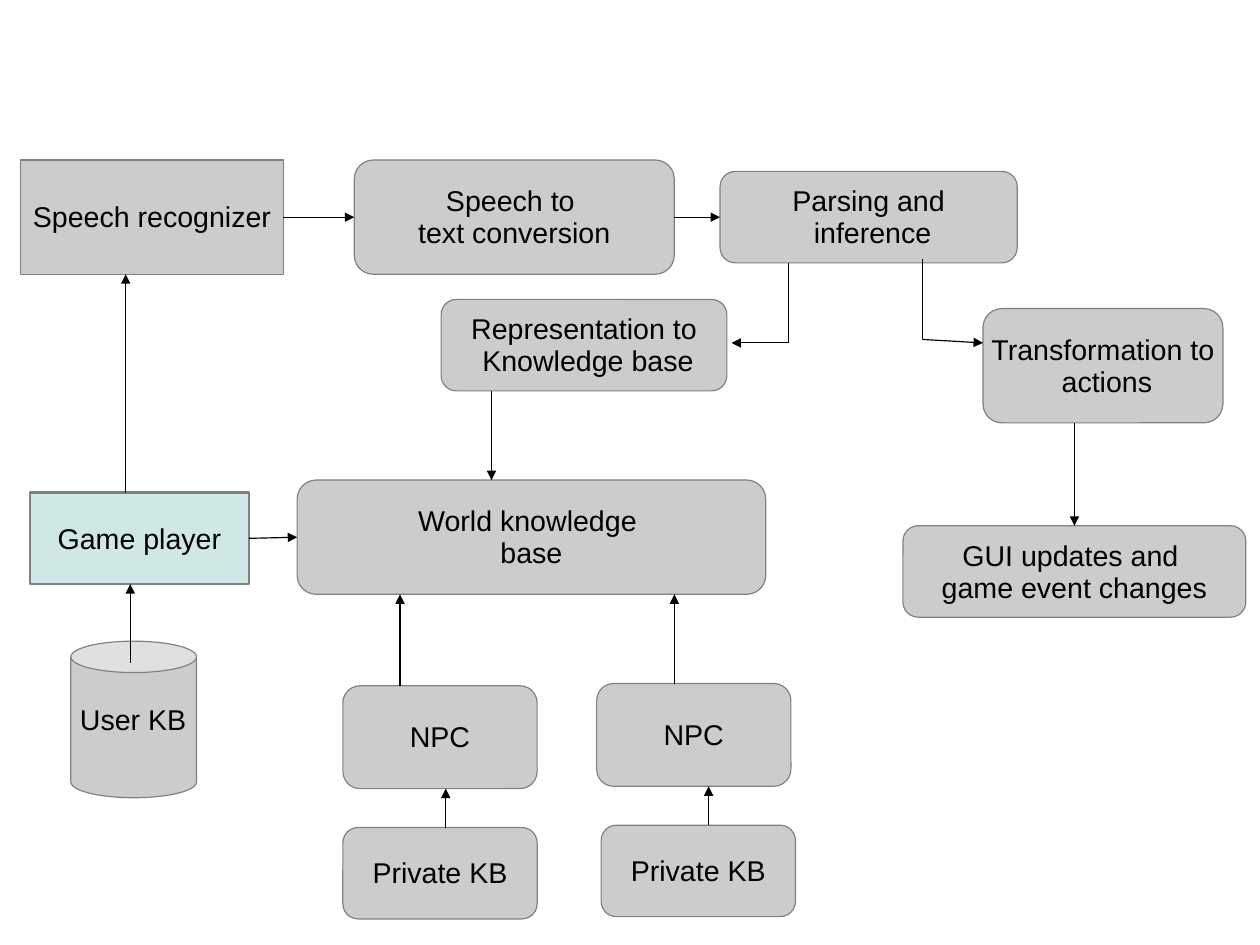
from lxml.etree import SubElement
from pptx import Presentation
from pptx.dml.color import RGBColor
from pptx.enum.shapes import MSO_CONNECTOR as Connector, MSO_SHAPE as Preset
from pptx.enum.text import MSO_ANCHOR as Anchor, PP_ALIGN as Align
from pptx.oxml.ns import qn
from pptx.util import Cm, Inches, Pt

TOP, LEFT, BOTTOM, RIGHT = range(4)
BLACK, GREY, EDGE, MINT = "000000", "CCCCCC", "808080", "CFE7E5"


def grid(*steps):
    return [Inches(step / 10) for step in steps]


def color(hex_string):
    return RGBColor.from_string(hex_string)


def write(shape, text):
    frame = shape.text_frame
    frame.text = text
    frame.word_wrap = False
    frame.margin_left, frame.margin_right, frame.margin_top, frame.margin_bottom = grid(1, 1, 0.7, 0.5)
    for paragraph in frame.paragraphs:
        paragraph.alignment = Align.CENTER
        paragraph.line_spacing = 0.93
        for run in paragraph.runs:
            run.font.name = "Arial"
            run.font.size = Pt(18)
            run.font.color.rgb = color(BLACK)


def add_node(slide, text, place, preset=Preset.ROUNDED_RECTANGLE, fill=GREY, width=0.75):
    shape = slide.shapes.add_shape(preset, *grid(*place))
    shape.shadow.inherit = False
    shape.fill.solid()
    shape.fill.fore_color.rgb = color(fill)
    shape.line.color.rgb = color(EDGE)
    shape.line.width = Pt(width)
    if text:
        write(shape, text)
        shape.text_frame.vertical_anchor = Anchor.MIDDLE
    return shape


def add_label(slide, text, place):
    write(slide.shapes.add_textbox(*grid(*place)), text)


def add_line(slide, start, end, arrow=True):
    line = slide.shapes.add_connector(Connector.STRAIGHT, *grid(*start, *end))
    line.line.color.rgb = color(BLACK)
    line.line.width = Pt(0.75)
    if arrow:
        SubElement(line.line._get_or_add_ln(), qn("a:tailEnd"), type="triangle")
    SubElement(line._element.spPr, qn("a:effectLst"))
    return line


def add_route(slide, start, corner, end):
    add_line(slide, start, corner, arrow=False)
    add_line(slide, corner, end)


def join(slide, source, target):
    line = add_line(slide, (0, 0), (1, 0))
    line.begin_connect(source, RIGHT)
    line.end_connect(target, LEFT)


def main():
    presentation = Presentation()
    presentation.slide_width, presentation.slide_height = Cm(28), Cm(21)
    slide = presentation.slides.add_slide(presentation.slide_layouts[6])

    player = add_node(slide, "Game player", (2.6, 43.1, 19.2, 8), Preset.RECTANGLE, MINT, 1.45)
    recognizer = add_node(slide, "Speech recognizer", (1.8, 14, 23, 10), Preset.RECTANGLE)
    conversion = add_node(slide, "Speech to \ntext conversion", (31, 14, 28, 10))
    parsing = add_node(slide, "Parsing and\n inference", (63, 15, 26, 8))
    world = add_node(slide, "World knowledge \nbase", (26, 42, 41, 10))
    add_node(slide, "Representation to\n Knowledge base", (38.6, 26.2, 25, 8))
    add_node(slide, "Transformation to\n actions", (86, 27, 21, 10))
    updates = add_node(slide, "GUI updates and \ngame event changes", (79, 46, 30, 8))
    add_node(slide, "", (6.2, 56.1, 11, 13.7), Preset.CAN)
    add_label(slide, "User KB", (6, 61, 11.3, 4.8))

    for left, top, private_left, up_x, private_x in (
        (30, 60, 30, 35, 39),
        (52.2, 59.8, 52.6, 59, 62),
    ):
        add_node(slide, "NPC", (left, top, 17, 9))
        add_node(slide, "Private KB", (private_left, top + 12.4, 17, 8))
        add_line(slide, (up_x, top), (up_x, 52))
        add_line(slide, (private_x, top + 12.4), (private_x, top + 9))

    for source, target in ((recognizer, conversion), (conversion, parsing), (player, world)):
        join(slide, source, target)

    add_line(slide, (11.4, 58), (11.4, 51.1))
    add_line(slide, (11, 43.1), (11, 24))
    add_line(slide, (43, 34.2), (43, 42))
    add_line(slide, (94, 37), (94, 46)).end_connect(updates, TOP)
    add_route(slide, (69, 23), (69, 30), (64, 30))
    add_route(slide, (80.7, 22.7), (80.7, 29.7), (86, 30))

    presentation.save("out.pptx")


if __name__ == "__main__":
    main()
